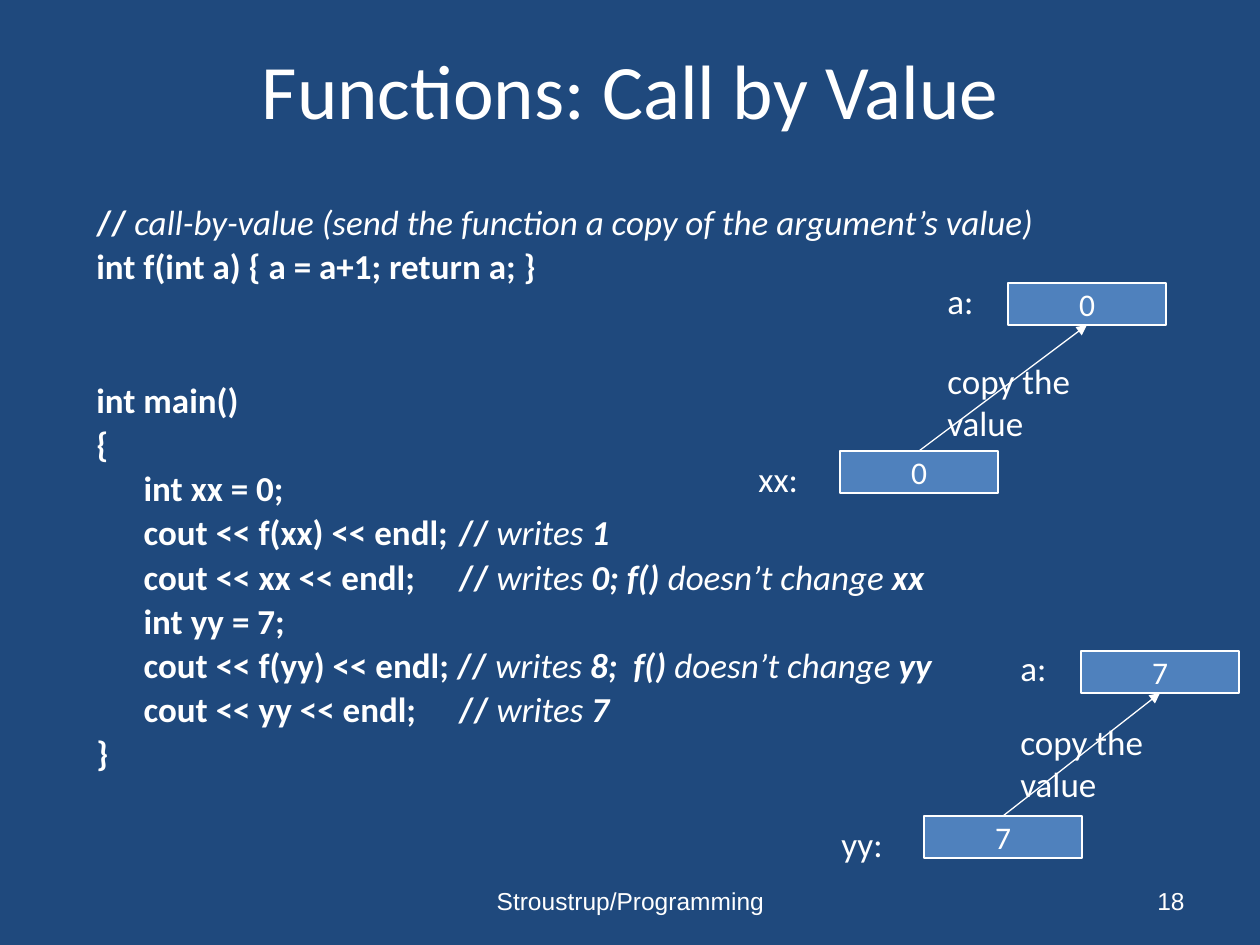
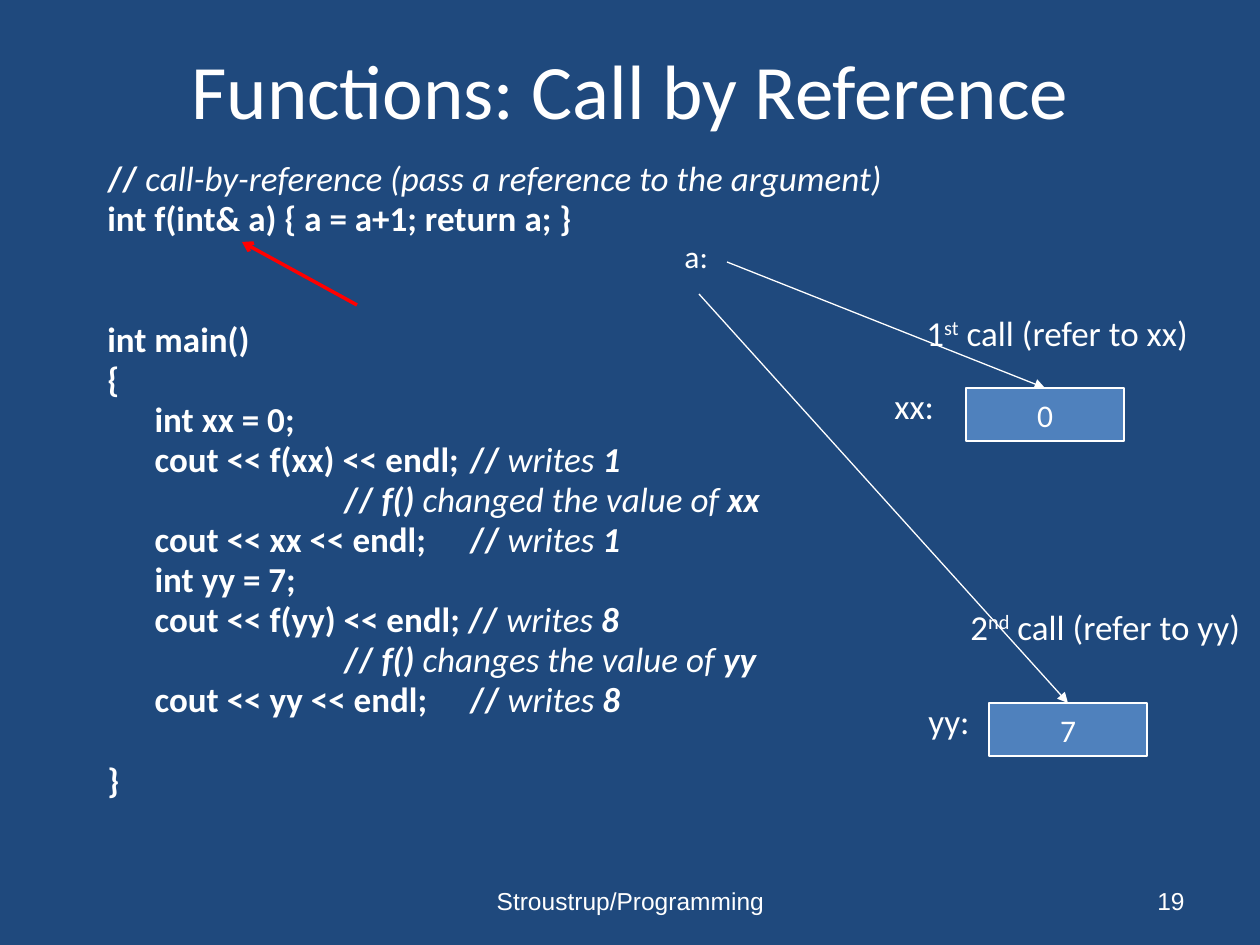
import pptx
import pptx.util
import pptx.dml.color
import pptx.enum.text
import pptx.enum.shapes
import lxml.etree

SCALE = 914400 / 126
INK = {"back": "1F497D", "text": "FFFFFF", "box": "4F81BD", "mark": "FF0000"}
ALIGN = pptx.enum.text.PP_ALIGN
MID = pptx.enum.text.MSO_ANCHOR.MIDDLE
NS = "{http://schemas.openxmlformats.org/drawingml/2006/main}"


def color(key):
    return pptx.dml.color.RGBColor.from_string(INK[key])


def write(slide, place, lines, size, font="Calibri", align=ALIGN.LEFT, box=False):
    place = [round(n * SCALE) for n in place]
    if box:
        shape = slide.shapes.add_shape(pptx.enum.shapes.MSO_SHAPE.RECTANGLE, *place)
        shape.shadow.inherit = False
        shape.fill.solid()
        shape.fill.fore_color.rgb = color("box")
        shape.line.color.rgb = color("text")
        shape.line.width = pptx.util.Pt(0.75)
    else:
        shape = slide.shapes.add_textbox(*place)
    frame = shape.text_frame
    frame.word_wrap = not box
    for row, line in enumerate(lines):
        para = frame.add_paragraph() if row else frame.paragraphs[0]
        para.alignment = align
        for text, style in line:
            run = para.add_run()
            run.text = text
            run.font.size = pptx.util.Pt(size)
            run.font.name = font
            run.font.color.rgb = color("text")
            run.font.bold = "b" in style
            run.font.italic = "i" in style
            if "^" in style:
                run._r.get_or_add_rPr().set("baseline", "30000")
    return frame


pages = [
    {
        "title": "Functions: Call by Value",
        "number": "18",
        "place": (84, 199, 1071, 620),
        "pitch": 0.9,
        "gaps": {2: 54.8},
        "code": [
            [("// ", "b"), ("call-by-value (send the function a copy of the argument’s value)", "i")],
            [("int f(int a) { a = a+1; return a; }", "b")],
            [("int main()", "b")],
            [("{", "b")],
            [("\tint xx = 0;", "b")],
            [("\tcout << f(xx) << endl;\t// ", "b"), ("writes ", "i"), ("1", "bi")],
            [("\tcout << xx << endl; \t// ", "b"), ("writes", "i"), (" 0; f() ", "bi"),
             ("doesn’t change", "i"), (" xx", "bi")],
            [("\tint yy = 7;", "b")],
            [("\tcout << f(yy) << endl; // ", "b"), ("writes", "i"), (" 8;  f() ", "bi"),
             ("doesn’t change", "i"), (" yy", "bi")],
            [("\tcout << yy << endl; \t// ", "b"), ("writes", "i"), (" 7", "bi")],
            [("}", "b")],
        ],
        "tall": 42,
        "boxes": [(840, 451, "0"), (1008, 283, "0"), (924, 816, "7"), (1081, 651, "7")],
        "notes": [
            (935, 273, 63, 20, [("a:", "")]),
            (746, 451, 95, 20, [("xx:", "")]),
            (935, 353, 220, 20, [("copy the value", "")]),
            (1008, 640, 63, 20, [("a:", "")]),
            (829, 816, 95, 20, [("yy:", "")]),
            (1008, 714, 220, 20, [("copy the value", "")]),
        ],
        "lines": [
            (919, 451, 1087, 325, "text", 0.75, "triangle"),
            (1003, 816, 1160, 693, "text", 0.75, "triangle"),
        ],
    },
    {
        "title": "Functions: Call by Reference",
        "number": "19",
        "place": (95, 158, 1071, 683),
        "pitch": 0.8,
        "gaps": {2: 50.1, 13: 26.9},
        "code": [
            [("// ", "b"), ("call-by-reference (pass a reference to the argument)", "i")],
            [("int f(int& a) { a = a+1; return a; }", "b")],
            [("int main()", "b")],
            [("{", "b")],
            [("\tint xx = 0;", "b")],
            [("\tcout << f(xx) << endl;\t// ", "b"), ("writes ", "i"), ("1", "bi")],
            [("\t\t\t\t// ", "b"), ("f() ", "bi"), ("changed the value of", "i"), (" xx", "bi")],
            [("\tcout << xx << endl; \t// ", "b"), ("writes", "i"), (" 1", "bi")],
            [("\tint yy = 7;", "b")],
            [("\tcout << f(yy) << endl; // ", "b"), ("writes", "i"), (" 8", "bi")],
            [("\t\t\t\t// ", "b"), ("f() ", "bi"), ("changes the value of", "i"), (" yy", "bi")],
            [("\tcout << yy << endl; \t// ", "b"), ("writes", "i"), (" 8", "bi")],
            [("}", "b")],
        ],
        "tall": 53,
        "boxes": [(966, 388, "0"), (989, 703, "7")],
        "notes": [
            (882, 378, 111, 20, [("xx:", "")]),
            (916, 693, 100, 20, [("yy:", "")]),
            (672, 231, 55, 18, [("a:", "")]),
            (914, 305, 295, 20, [("1", ""), ("st", "^"), (" call (refer to xx)", "")]),
            (958, 599, 302, 20, [("2", ""), ("nd", "^"), (" call (refer to yy)", "")]),
        ],
        "lines": [
            (727, 262, 1045, 388, "text", 0.75, "triangle"),
            (699, 294, 1068, 703, "text", 0.75, "triangle"),
            (357, 305, 242, 242, "mark", 2, "arrow"),
        ],
    },
]
pages[1]["gaps"] = {2: 50.1, len(pages[1]["code"]) - 1: 26.9}

deck = pptx.Presentation()
deck.slide_width = round(1260 * SCALE)
deck.slide_height = round(945 * SCALE)

for page in pages:
    slide = deck.slides.add_slide(deck.slide_layouts[6])
    slide.background.fill.solid()
    slide.background.fill.fore_color.rgb = color("back")

    title = write(slide, (95, 10, 1071, 158), [[(page["title"], "")]], 44, align=ALIGN.CENTER)
    foot = write(slide, (431, 876, 399, 50), [[("Stroustrup/Programming", "")]], 14, "Arial", ALIGN.CENTER)
    count = write(slide, (903, 876, 294, 50), [[(page["number"], "")]], 14, "Arial", ALIGN.RIGHT)
    for frame in (title, foot, count):
        frame.vertical_anchor = MID

    code = write(slide, page["place"], page["code"], 20)
    for row, para in enumerate(code.paragraphs):
        para.line_spacing = page["pitch"]
        para.space_before = pptx.util.Pt(page["gaps"].get(row, 3.65))
        props = para._p.get_or_add_pPr()
        props.set("marL", "342900")
        props.set("indent", "-342900")

    for left, top, text in page["boxes"]:
        frame = write(slide, (left, top, 158, page["tall"]), [[(text, "")]], 18, align=ALIGN.CENTER, box=True)
        frame.vertical_anchor = MID
    for left, top, width, size, line in page["notes"]:
        write(slide, (left, top, width, 54), [line], size)

    for *ends, key, width, head in page["lines"]:
        arrow = slide.shapes.add_connector(
            pptx.enum.shapes.MSO_CONNECTOR.STRAIGHT, *[round(n * SCALE) for n in ends])
        arrow.line.color.rgb = color(key)
        arrow.line.width = pptx.util.Pt(width)
        lxml.etree.SubElement(arrow.line._get_or_add_ln(), NS + "tailEnd", type=head)
        lxml.etree.SubElement(arrow._element.spPr, NS + "effectLst")

deck.save("out.pptx")
